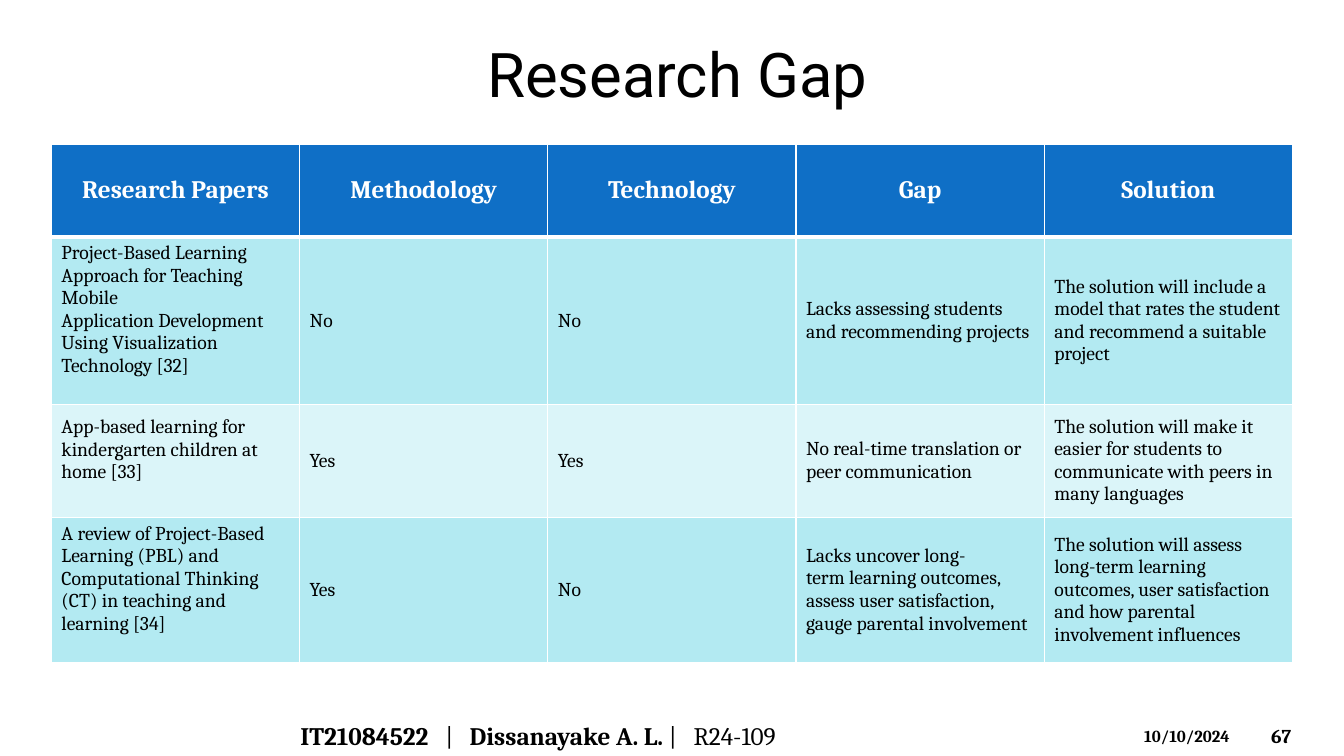
"""Build the Research Gap slide with its comparison table and footer."""
from dataclasses import dataclass

from lxml.etree import SubElement
from pptx import Presentation
from pptx.dml.color import RGBColor
from pptx.enum.shapes import MSO_SHAPE as Preset
from pptx.enum.text import MSO_ANCHOR as Anchor, MSO_AUTO_SIZE as AutoSize, PP_ALIGN as Align
from pptx.oxml import parse_xml
from pptx.oxml.ns import nsdecls, qn
from pptx.util import Inches, Pt


@dataclass(frozen=True)
class Theme:
    heading_font: str = "Roboto"
    body_font: str = "Cambria"
    black: str = "000000"
    white: str = "FFFFFF"
    header: str = "0F6FC6"
    band_dark: str = "B3EAF2"
    band_light: str = "DBF5F9"
    title_size: int = 44
    header_size: int = 18
    cell_size: int = 14
    date_size: int = 12


@dataclass(frozen=True)
class Label:
    left: float
    top: float
    width: float
    height: float
    size: int
    spans: tuple[tuple[str, bool], ...]
    tabs: tuple[float, ...] = ()


@dataclass(frozen=True)
class Wedge:
    height: float
    peak: float


@dataclass(frozen=True)
class Paper:
    height: float
    name: str
    methodology: str
    technology: str
    gap: str
    solution: str

    def texts(self) -> tuple[str, ...]:
        return self.name, self.methodology, self.technology, self.gap, self.solution


THEME = Theme()
PAGE_WIDTH, PAGE_HEIGHT = 13.33, 7.5
NO_BREAK = chr(160)
HEADINGS = ("Research Papers", "Methodology", "Technology", "Gap", "Solution")
HEADER_HEIGHT = 0.92
NAME_BOTTOM_MARGIN = 0.27
WEDGE_OPACITY = 20
WEDGES = (Wedge(0.41, 0.63), Wedge(0.2, 0.39))
PAPERS = (
    Paper(1.66,
          "Project-Based Learning Approach for Teaching Mobile\n"
          "Application Development Using Visualization Technology [32]",
          "No", "No", "Lacks assessing students and recommending projects",
          "The solution will include a model that rates the student "
          "and recommend a suitable project"),
    Paper(1.12, "App-based learning for kindergarten children at home [33]",
          "Yes", "Yes", "No real-time translation or peer communication",
          "The solution will make it easier for students to communicate "
          "with peers in many languages"),
    Paper(1.44,
          "A review of Project-Based Learning (PBL) and Computational Thinking (CT) "
          "in teaching and learning [34]",
          "Yes", "No",
          f"Lacks uncover long-term{NO_BREAK}learning outcomes, assess user satisfaction, "
          f"gauge parental{NO_BREAK}involvement",
          "The solution will assess long-term learning outcomes, user satisfaction "
          "and how parental involvement influences"),
)
LABELS = (
    Label(12.51, 7.1, 0.74, 0.4, THEME.cell_size, (("67", True),)),
    Label(11.25, 7.15, 1.17, 0.3, THEME.date_size, (("10/10/2024", True),)),
    Label(2.88, 7.1, 7.45, 0.4, THEME.header_size,
          (("IT21084522", True), ("\t|\t", False),
           ("Dissanayake A. L. ", True), ("|\tR24-109", False)),
          (1.44, 1.68, 3.9)),
)


def add_span(para, text: str, *, size: int, font: str = THEME.body_font,
             color: str = THEME.black, bold: bool = False, align=Align.LEFT) -> None:
    para.alignment = align
    span = para.add_run()
    span.text = text
    span.font.name = font
    span.font.size = Pt(size)
    span.font.bold = bold
    span.font.color.rgb = RGBColor.from_string(color)


def add_title(slide, text: str) -> None:
    title = slide.shapes.title
    title.left, title.top = Inches(0.33), Inches(0.25)
    title.width, title.height = Inches(12.78), Inches(0.95)
    frame = title.text_frame
    frame.auto_size = AutoSize.NONE
    frame.vertical_anchor = Anchor.MIDDLE
    add_span(frame.paragraphs[0], text, size=THEME.title_size,
             font=THEME.heading_font, align=Align.CENTER)


def add_wedge(slide, wedge: Wedge) -> None:
    shape = slide.shapes.add_shape(Preset.ISOSCELES_TRIANGLE, 0,
                                   Inches(PAGE_HEIGHT - wedge.height),
                                   Inches(PAGE_WIDTH), Inches(wedge.height))
    shape.shadow.inherit = False
    shape.adjustments[0] = wedge.peak
    shape.line.fill.background()
    shape.fill.solid()
    shape.fill.fore_color.rgb = RGBColor.from_string(THEME.white)
    color = shape._element.spPr.find(qn("a:solidFill"))[0]
    SubElement(color, qn("a:alpha"), val=str(WEDGE_OPACITY * 1000))


def add_label(slide, label: Label) -> None:
    box = slide.shapes.add_textbox(Inches(label.left), Inches(label.top),
                                   Inches(label.width), Inches(label.height))
    frame = box.text_frame
    frame.word_wrap = True
    frame.vertical_anchor = Anchor.MIDDLE
    para = frame.paragraphs[0]
    if label.tabs:
        stops = SubElement(para._p.get_or_add_pPr(), qn("a:tabLst"))
        for position in label.tabs:
            SubElement(stops, qn("a:tab"), pos=str(Inches(position)), algn="l")
    for text, bold in label.spans:
        add_span(para, text, size=label.size, bold=bold)


def set_borders(cell, top: int, bottom: int) -> None:
    properties = cell._tc.get_or_add_tcPr()
    for index, (side, points) in enumerate((("L", 1), ("R", 1), ("T", top), ("B", bottom))):
        properties.insert(index, parse_xml(
            f'<a:ln{side} {nsdecls("a")} w="{Pt(points)}"><a:solidFill>'
            f'<a:srgbClr val="{THEME.white}"/></a:solidFill></a:ln{side}>'))


def fill_cell(cell, text: str, fill: str, **text_format) -> None:
    cell.fill.solid()
    cell.fill.fore_color.rgb = RGBColor.from_string(fill)
    cell.vertical_anchor = Anchor.MIDDLE
    frame = cell.text_frame
    for index, line in enumerate(text.split("\n")):
        para = frame.add_paragraph() if index else frame.paragraphs[0]
        add_span(para, line, **text_format)


def add_gap_table(slide) -> None:
    heights = [HEADER_HEIGHT, *(paper.height for paper in PAPERS)]
    table = slide.shapes.add_table(len(heights), len(HEADINGS), Inches(0.51), Inches(1.43),
                                   Inches(12.31), Inches(sum(heights))).table
    for row, height in zip(table.rows, heights):
        row.height = Inches(height)
    for column, heading in enumerate(HEADINGS):
        cell = table.cell(0, column)
        fill_cell(cell, heading, THEME.header, size=THEME.header_size,
                  color=THEME.white, bold=True, align=Align.CENTER)
        set_borders(cell, top=1, bottom=3)
    for row, paper in enumerate(PAPERS, start=1):
        band = THEME.band_dark if row % 2 else THEME.band_light
        for column, text in enumerate(paper.texts()):
            cell = table.cell(row, column)
            fill_cell(cell, text, band, size=THEME.cell_size)
            set_borders(cell, top=3 if row == 1 else 1, bottom=1)
        table.cell(row, 0).margin_bottom = Inches(NAME_BOTTOM_MARGIN)


def main() -> None:
    deck = Presentation()
    deck.slide_width, deck.slide_height = Inches(PAGE_WIDTH), Inches(PAGE_HEIGHT)
    page = deck.slides.add_slide(deck.slide_layouts[5])
    for wedge in WEDGES:
        add_wedge(page, wedge)
    add_title(page, "Research Gap")
    add_gap_table(page)
    for label in LABELS:
        add_label(page, label)
    deck.save("out.pptx")


if __name__ == "__main__":
    main()
